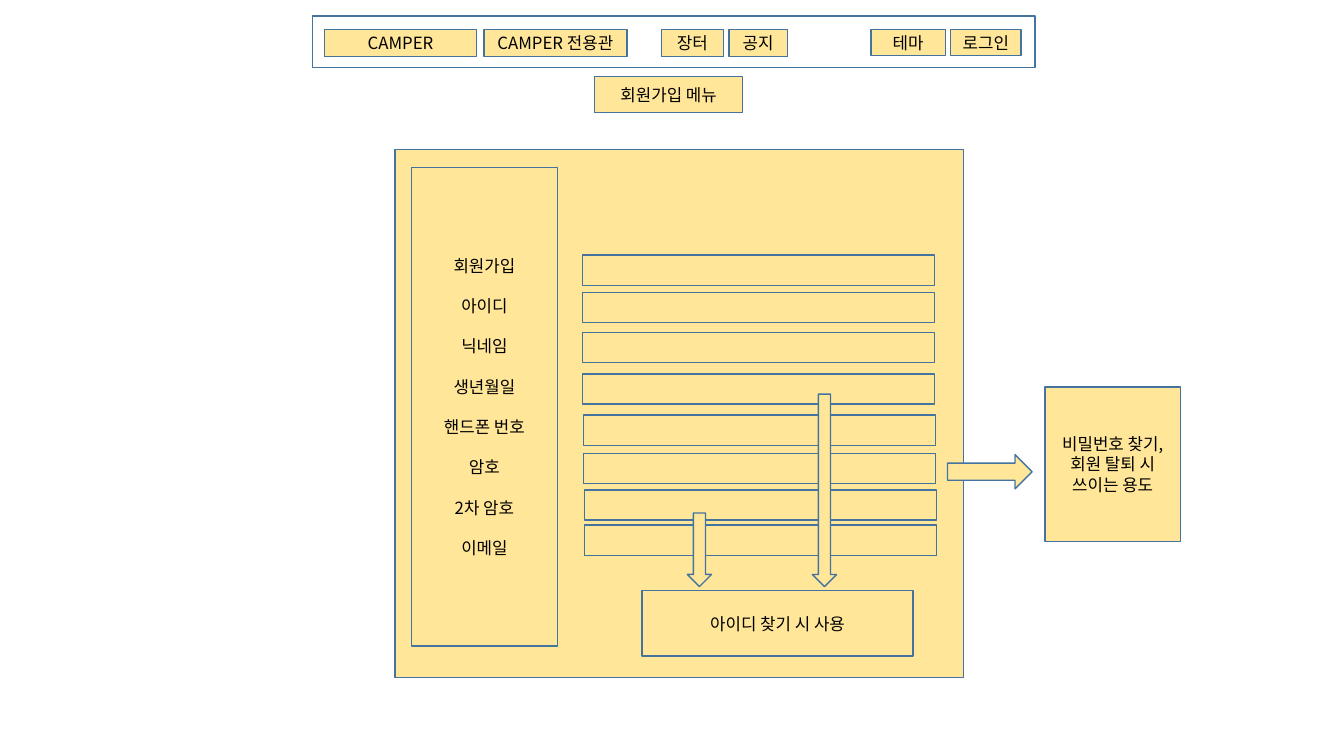
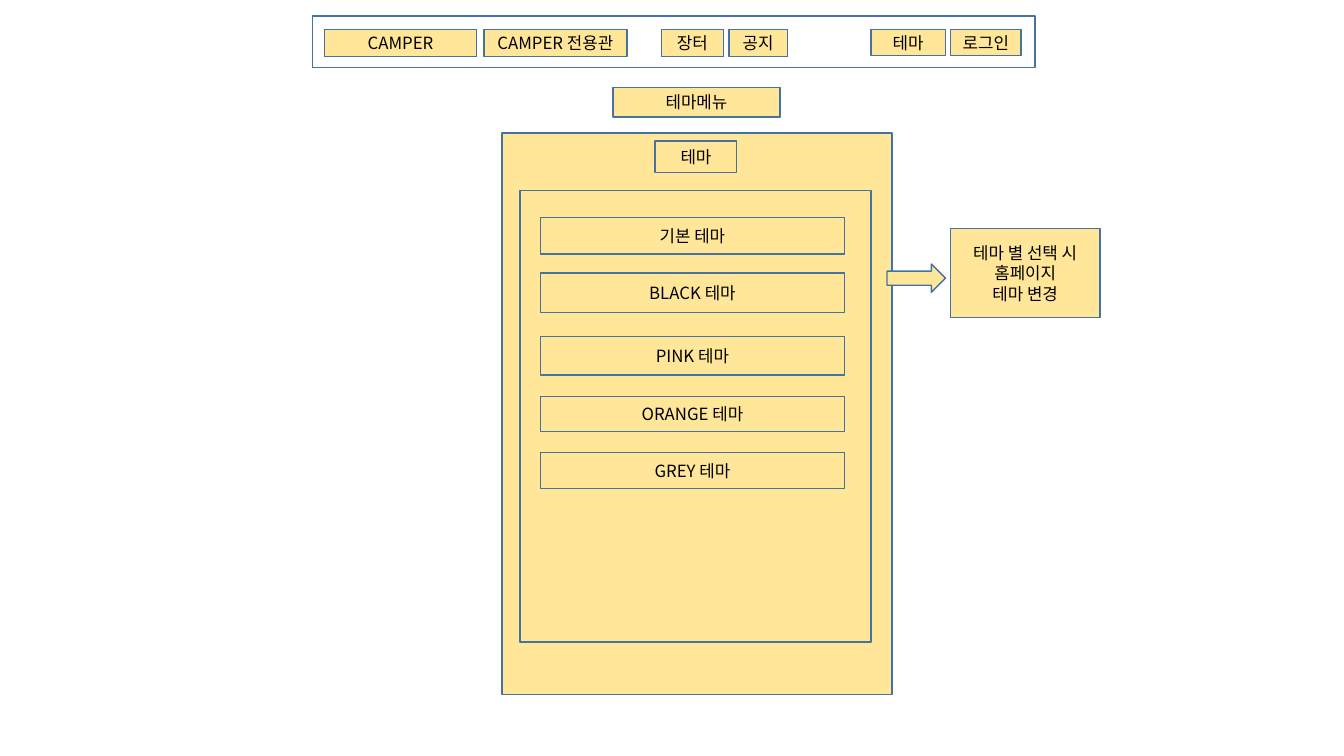
import pptx
import pptx.dml.color
import pptx.enum.shapes
import pptx.enum.text
import pptx.oxml
import pptx.oxml.ns
import pptx.util

Pt = pptx.util.Pt
SHAPES = pptx.enum.shapes.MSO_SHAPE


def color(hex_value):
    """Turn a hex string into a colour."""
    return pptx.dml.color.RGBColor.from_string(hex_value)


class Wireframe:
    """Hold the shared style and the current slide; lengths are in points."""

    FILL = "FFE699"
    LINE = "43739E"
    TEXT = "000000"
    FONT = "Noto Sans CJK KR"
    SIZE = 12
    LINE_HEIGHT = 14.4
    NAVIGATION = [
        ("CAMPER", 231.8, 108.7, 19.4),
        ("CAMPER 전용관", 345.6, 102.2, 19.4),
        ("장터", 472.3, 44.6, 19.4),
        ("공지", 520.6, 41.8, 19.4),
        ("테마", 622.1, 53.3, 18.7),
        ("로그인", 679, 50.4, 18.7),
    ]

    def __init__(self):
        """Start an empty widescreen presentation."""
        self.presentation = pptx.Presentation()
        self.presentation.slide_width = Pt(960)
        self.presentation.slide_height = Pt(540)
        self.slide = None

    def add_page(self):
        """Add a blank slide with the navigation bar."""
        self.slide = self.presentation.slides.add_slide(self.presentation.slide_layouts[6])
        self.add_box(223.2, 11.5, 516.2, 36.7, filled=False)
        for label, left, width, height in self.NAVIGATION:
            self.add_box(left, 20.9, width, height, [label])

    def add_box(self, left, top, width, height, lines=(), gap=0, kind=SHAPES.RECTANGLE, filled=True):
        """Add an outlined shape with optional centred lines of text."""
        shape = self.slide.shapes.add_shape(kind, Pt(left), Pt(top), Pt(width), Pt(height))
        shape.shadow.inherit = False
        shape.line.color.rgb = color(self.LINE)
        shape.line.width = Pt(1)
        if filled:
            shape.fill.solid()
            shape.fill.fore_color.rgb = color(self.FILL)
        else:
            shape.fill.background()
        if lines:
            self.write_lines(shape.text_frame, lines, gap)

    def write_lines(self, frame, lines, gap):
        """Write one centred paragraph per line, separated by the gap."""
        frame.word_wrap = True
        frame.vertical_anchor = pptx.enum.text.MSO_ANCHOR.MIDDLE
        frame.text = "\n".join(lines)
        for index, paragraph in enumerate(frame.paragraphs):
            paragraph.alignment = pptx.enum.text.PP_ALIGN.CENTER
            paragraph.line_spacing = Pt(self.LINE_HEIGHT)
            if index and gap:
                paragraph.space_before = Pt(gap)
            self.style_font(paragraph)

    def style_font(self, paragraph):
        """Apply the shared font for Latin and Korean text."""
        paragraph.font.size = Pt(self.SIZE)
        paragraph.font.color.rgb = color(self.TEXT)
        paragraph.font.name = self.FONT
        defaults = paragraph._p.pPr.find(pptx.oxml.ns.qn("a:defRPr"))
        namespace = pptx.oxml.ns.nsdecls("a")
        defaults.append(pptx.oxml.parse_xml(f'<a:ea {namespace} typeface="{self.FONT}"/>'))

    def add_right_arrow(self, left, top, width, height):
        """Add a block arrow pointing right."""
        self.add_box(left, top, width, height, kind=SHAPES.RIGHT_ARROW)

    def add_down_arrow(self, left, top, bottom):
        """Add a narrow block arrow pointing down."""
        self.add_box(left, top, 17.3, bottom - top, kind=SHAPES.DOWN_ARROW)


def build_sign_up(wireframe):
    """Build the sign-up form slide."""
    labels = ["회원가입", "아이디", "닉네임", "생년월일", "핸드폰 번호", "암호", "2차 암호", "이메일"]
    fields = [
        (416.2, 182.2), (416.2, 208.8), (416.2, 237.6), (416.2, 267.1),
        (416.9, 296.6), (416.9, 324), (417.6, 349.9), (417.6, 375.1),
    ]
    wireframe.add_page()
    wireframe.add_box(424.8, 54.7, 105.8, 25.9, ["회원가입 메뉴"])
    wireframe.add_box(282.2, 106.6, 406.1, 377.3)
    wireframe.add_box(293.8, 119.5, 104.4, 342, labels, gap=wireframe.LINE_HEIGHT)
    for left, top in fields:
        wireframe.add_box(left, top, 251.3, 21.6)
    wireframe.add_box(458.6, 421.9, 193.7, 46.8, ["아이디 찾기 시 사용"])
    wireframe.add_down_arrow(491, 366.5, 419)
    wireframe.add_down_arrow(580.3, 281.5, 419)
    wireframe.add_right_arrow(676.8, 324.7, 60.5, 24.5)
    wireframe.add_box(746.6, 276.5, 96.5, 110.2, ["비밀번호 찾기, 회원 탈퇴 시", "쓰이는 용도"])


def build_theme(wireframe):
    """Build the theme selection slide."""
    themes = [
        ("기본 테마", 155.5, 25.9),
        ("BLACK 테마", 195.1, 28.1),
        ("PINK 테마", 240.5, 27.4),
        ("ORANGE 테마", 283, 25.2),
        ("GREY 테마", 323.3, 25.9),
    ]
    wireframe.add_page()
    wireframe.add_box(437.8, 62.6, 119.5, 20.9, ["테마메뉴"])
    wireframe.add_box(358.6, 95, 278.6, 401)
    wireframe.add_box(468, 100.8, 58.3, 22.3, ["테마"])
    wireframe.add_box(371.5, 136.1, 250.6, 322.6)
    for label, top, height in themes:
        wireframe.add_box(385.9, top, 217.4, height, [label])
    wireframe.add_right_arrow(633.6, 188.6, 41.8, 20.2)
    wireframe.add_box(679, 163.4, 106.6, 63.4, ["테마 별 선택 시", "홈페이지", "테마 변경"])


def main():
    """Build both slides and save the file."""
    wireframe = Wireframe()
    build_sign_up(wireframe)
    build_theme(wireframe)
    wireframe.presentation.save("out.pptx")


if __name__ == "__main__":
    main()
